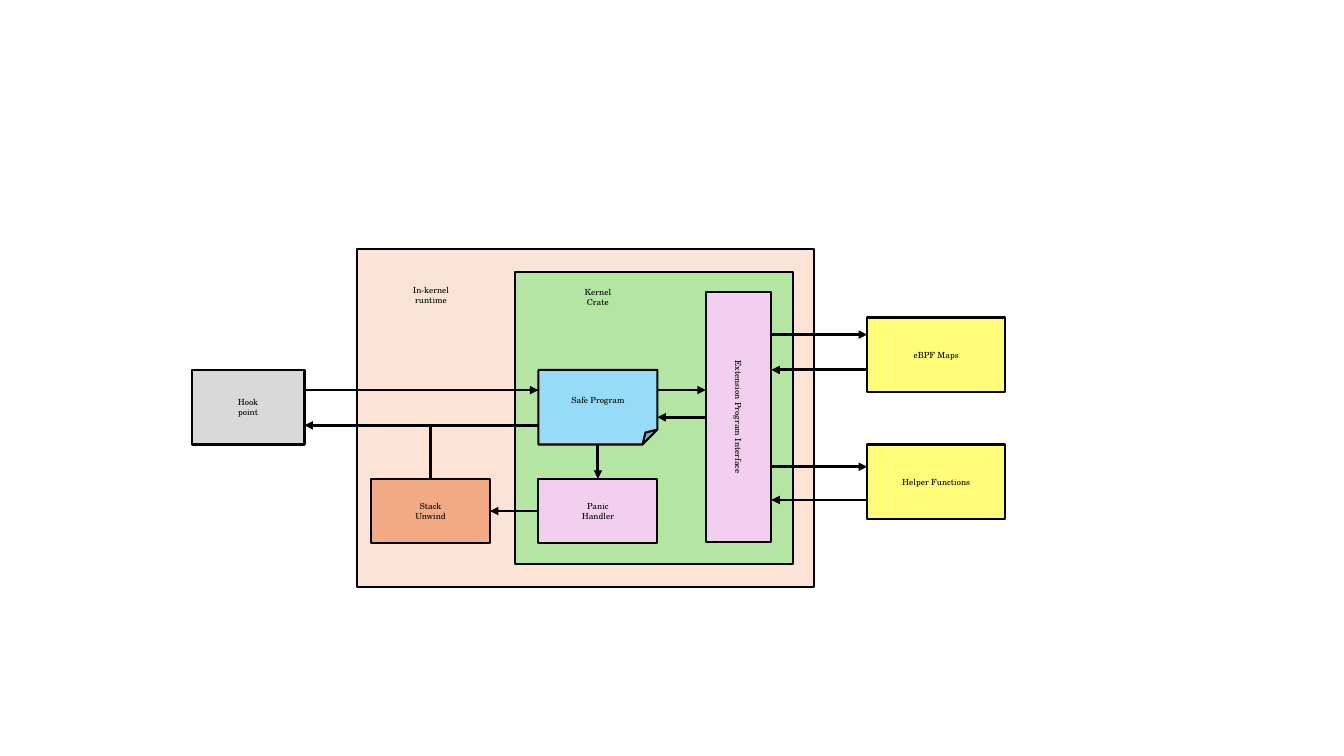
from dataclasses import dataclass

from lxml.etree import SubElement
from pptx import Presentation
from pptx.dml.color import RGBColor
from pptx.enum.shapes import MSO_CONNECTOR, MSO_SHAPE
from pptx.enum.text import MSO_ANCHOR, PP_ALIGN
from pptx.oxml.ns import qn
from pptx.util import Inches, Pt

CELL = 0.1  # inches per grid cell, both ways
TOP, LEFT, BOTTOM, RIGHT = range(4)


@dataclass(frozen=True)
class Theme:
    ink: str = "000000"
    runtime: str = "FBE3D6"
    crate: str = "B4E5A2"
    program: str = "96DCF8"
    trusted: str = "F2CFEE"
    unwind: str = "F2AA84"
    hook: str = "D9D9D9"
    service: str = "FFFD78"
    font: str = "TeX Gyre Schola"
    text_size: float = 6
    outline: float = 1.5
    arrow: float = 2


THEME = Theme()


@dataclass(frozen=True)
class Box:
    """A rectangle in grid cells."""
    left: float
    top: float
    width: float
    height: float

    @property
    def right(self):
        return self.left + self.width

    def inside(self, left, top, width, height):
        return Box(self.left + left, self.top + top, width, height)

    def turned(self):
        """The same centre with the sides swapped."""
        shift = (self.width - self.height) / 2
        return Box(self.left + shift, self.top - shift, self.height, self.width)

    def lengths(self):
        return [cells(n) for n in (self.left, self.top, self.width, self.height)]


def cells(count):
    return Inches(count * CELL)


def write(frame, lines):
    frame.word_wrap = True
    for number, line in enumerate(lines):
        para = frame.paragraphs[0] if number == 0 else frame.add_paragraph()
        para.alignment = PP_ALIGN.CENTER
        span = para.add_run()
        span.text = line
        formats = {"name": THEME.font, "size": Pt(THEME.text_size)}
        for name, value in formats.items():
            setattr(span.font, name, value)
        span.font.color.rgb = RGBColor.from_string(THEME.ink)


def add_block(page, box, fill, *lines, kind=MSO_SHAPE.RECTANGLE):
    block = page.shapes.add_shape(kind, *box.lengths())
    block.shadow.inherit = False
    block.fill.solid()
    block.fill.fore_color.rgb = RGBColor.from_string(fill)
    block.line.color.rgb = RGBColor.from_string(THEME.ink)
    block.line.width = Pt(THEME.outline)
    block.text_frame.vertical_anchor = MSO_ANCHOR.MIDDLE
    write(block.text_frame, lines)
    return block


def set_fold(block, share):
    """Sizes the folded corner as a share of the shorter side."""
    guides = block._element.spPr.find(qn("a:prstGeom")).find(qn("a:avLst"))
    for guide in list(guides):
        guides.remove(guide)
    SubElement(guides, qn("a:gd"), name="adj", fmla=f"val {round(share * 100000)}")


def add_label(page, box, *lines):
    write(page.shapes.add_textbox(*box.lengths()).text_frame, lines)


def add_line(page, start=(0, 0), end=(0, 0), head=True):
    line = page.shapes.add_connector(
        MSO_CONNECTOR.STRAIGHT, *(cells(n) for n in (*start, *end)))
    line.line.color.rgb = RGBColor.from_string(THEME.ink)
    line.line.width = Pt(THEME.arrow)
    if head:
        SubElement(line.line._get_or_add_ln(), qn("a:tailEnd"), type="triangle")
    SubElement(line._element.spPr, qn("a:effectLst"))
    return line


def add_joined_arrow(page, source, source_side, target, target_side):
    arrow = add_line(page)
    arrow.begin_connect(source, source_side)
    arrow.end_connect(target, target_side)


def add_exchange(page, left_box, right_box, call_y, reply_y):
    """A call to the right and a reply back to the left."""
    add_line(page, (left_box.right, call_y), (right_box.left, call_y))
    add_line(page, (right_box.left, reply_y), (left_box.right, reply_y))


def draw_hook(page, box):
    add_block(page, box, THEME.hook, "Hook", "point")


def draw_crate(page, box):
    """Draws the kernel crate; returns its panic handler and two ports."""
    add_block(page, box, THEME.crate)
    add_label(page, box.inside(2.3, 1, 11.8, 3), "Kernel", "Crate")
    program_box = box.inside(2.3, 9.7, 11.8, 7.4)
    program = add_block(page, program_box, THEME.program, "Safe Program",
                        kind=MSO_SHAPE.FOLDED_CORNER)
    set_fold(program, 0.2)
    panic = add_block(page, box.inside(2.3, 20.5, 11.8, 6.4), THEME.trusted,
                      "Panic", "Handler")
    interface_box = box.inside(18.9, 2, 6.5, 24.8)
    interface = add_block(page, interface_box.turned(), THEME.trusted,
                          "Extension Program Interface")
    interface.rotation = 90

    add_exchange(page, program_box, interface_box,
                 program_box.top + 2, program_box.top + 4.7)
    add_joined_arrow(page, program, BOTTOM, panic, TOP)
    return panic, program_box, interface_box


def draw_runtime(page, box, return_y):
    """Draws the runtime with its crate; the unwinder rises to return_y."""
    add_block(page, box, THEME.runtime)
    add_label(page, box.inside(0.7, 3.1, 13.3, 3), "In-kernel", "runtime")
    panic, program_box, interface_box = draw_crate(
        page, box.inside(15.7, 2.3, 27.6, 29))
    unwind_box = box.inside(1.4, 22.8, 11.8, 6.4)
    unwind = add_block(page, unwind_box, THEME.unwind, "Stack", "Unwind")
    add_joined_arrow(page, panic, LEFT, unwind, RIGHT)
    middle = unwind_box.left + unwind_box.width / 2
    rise = add_line(page, (middle, unwind_box.top), (middle, return_y), head=False)
    rise.begin_connect(unwind, TOP)
    return program_box, interface_box


def draw_services(page, box, interface_box):
    """Stacks the kernel services at the top and bottom of the box."""
    height = 7.4
    services = (("eBPF Maps", 1.7, 5.2), ("Helper Functions", 2.2, 5.5))
    for row, (name, call, reply) in enumerate(services):
        service_box = box.inside(0, row * (box.height - height), box.width, height)
        add_block(page, service_box, THEME.service, name)
        add_exchange(page, interface_box, service_box,
                     service_box.top + call, service_box.top + reply)


def main():
    deck = Presentation()
    deck.slide_width, deck.slide_height = Inches(13.33), Inches(7.5)
    page = deck.slides.add_slide(deck.slide_layouts[6])

    hook_box = Box(19, 36.7, 11.2, 7.4)
    call_y, return_y = hook_box.top + 2, hook_box.top + 5.5
    program_box, interface_box = draw_runtime(
        page, Box(35.4, 24.7, 45.3, 33.5), return_y)
    draw_hook(page, hook_box)
    draw_services(page, Box(86, 31.5, 13.7, 20), interface_box)
    add_exchange(page, hook_box, program_box, call_y, return_y)

    deck.save("out.pptx")


if __name__ == "__main__":
    main()
